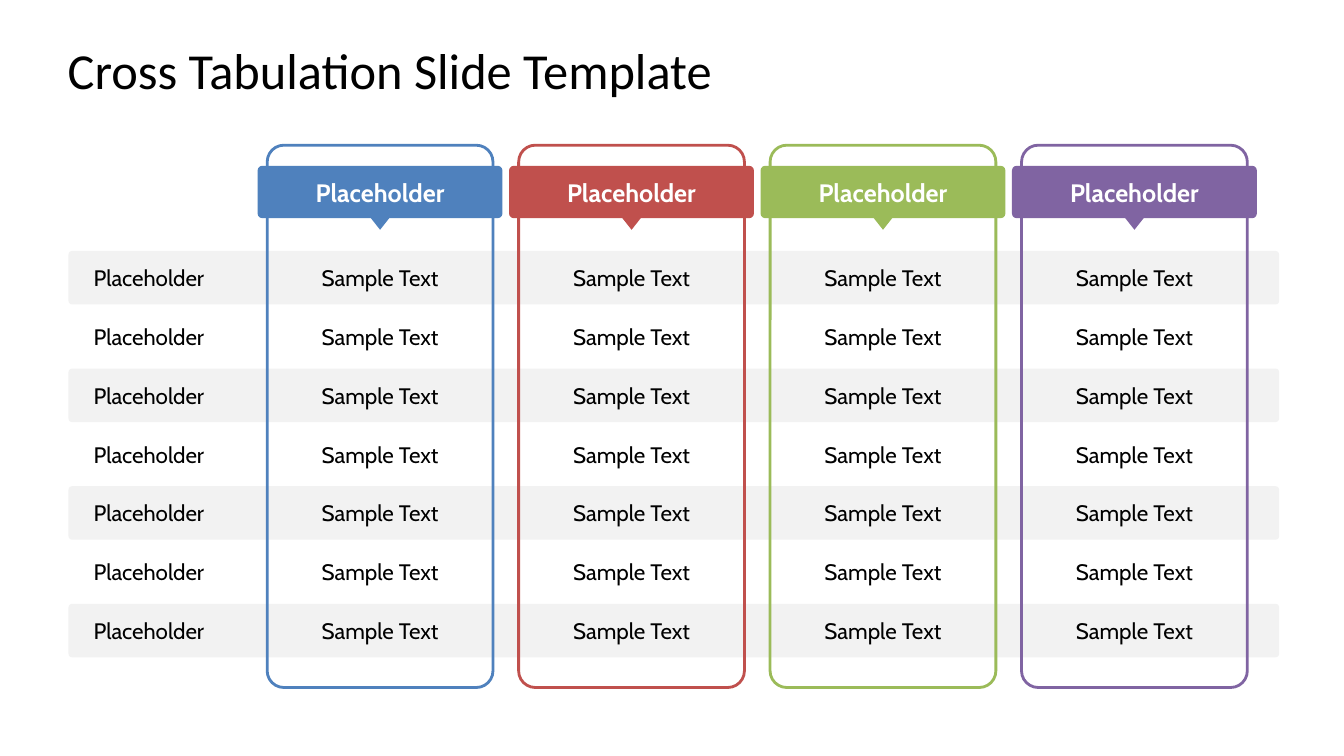
"""Build a cross tabulation slide with four coloured columns and seven banded rows."""
from dataclasses import dataclass

import pptx
import pptx.dml.color
import pptx.enum.shapes
import pptx.enum.text
import pptx.util

Shape = pptx.enum.shapes.MSO_SHAPE
Align = pptx.enum.text.PP_ALIGN

COLOURS = {
    "black": "000000",
    "white": "FFFFFF",
    "band": "F2F2F2",
    "blue": "4F81BD",
    "red": "C0504D",
    "green": "9BBB59",
    "purple": "8064A2",
}
SLIDE_WIDTH = pptx.util.Inches(13.333)
SLIDE_HEIGHT = pptx.util.Inches(7.5)
FIRST_COLUMN, COLUMN_PITCH = 28.28, 18.71
FIRST_ROW, ROW_PITCH = 36.73, 7.78
LABEL_CENTRE, BAND_CENTRE = 11.96, 50.14


@dataclass(frozen=True)
class Box:
    """A centre and a size, in percent of the slide's width and height."""

    x: float
    y: float
    width: float
    height: float

    def place(self) -> tuple[int, int, int, int]:
        """Return left, top, width and height in EMU."""
        return (
            int(SLIDE_WIDTH * (self.x - self.width / 2) / 100),
            int(SLIDE_HEIGHT * (self.y - self.height / 2) / 100),
            int(SLIDE_WIDTH * self.width / 100),
            int(SLIDE_HEIGHT * self.height / 100),
        )


@dataclass(frozen=True)
class TextStyle:
    """The look of one kind of text."""

    size: int
    colour: str = "black"
    font: str = "Cabin"
    bold: bool = False
    align: Align = Align.CENTER


@dataclass(frozen=True)
class Column:
    """A coloured column with its heading and cell text."""

    colour: str
    heading: str = "Placeholder"
    cell: str = "Sample Text"


TITLE = TextStyle(36, font="Calibri", align=Align.LEFT)
HEADING = TextStyle(18, colour="white", bold=True)
LABEL = TextStyle(16, align=Align.LEFT)
CELL = TextStyle(16)
COLUMNS = [Column(name) for name in ("blue", "red", "green", "purple")]
ROW_LABELS = ["Placeholder"] * 7


def rgb(name: str) -> pptx.dml.color.RGBColor:
    """Look up a colour by name."""
    return pptx.dml.color.RGBColor.from_string(COLOURS[name])


def write(shape, text: str, style: TextStyle) -> None:
    """Write one styled run, centred vertically, into a shape."""
    frame = shape.text_frame
    frame.word_wrap = True
    frame.vertical_anchor = pptx.enum.text.MSO_ANCHOR.MIDDLE
    frame.margin_left = frame.margin_right = frame.margin_top = frame.margin_bottom = 0
    paragraph = frame.paragraphs[0]
    paragraph.alignment = style.align
    run = paragraph.add_run()
    run.text = text
    run.font.name = style.font
    run.font.size = pptx.util.Pt(style.size)
    run.font.bold = style.bold
    run.font.color.rgb = rgb(style.colour)


def add_text(slide, box: Box, text: str, style: TextStyle) -> None:
    """Add a text box."""
    write(slide.shapes.add_textbox(*box.place()), text, style)


def add_filled(slide, kind: Shape, box: Box, colour: str):
    """Add a filled shape without a line."""
    shape = slide.shapes.add_shape(kind, *box.place())
    shape.shadow.inherit = False
    shape.fill.solid()
    shape.fill.fore_color.rgb = rgb(colour)
    shape.line.fill.background()
    return shape


def add_frame(slide, x: float, colour: str) -> None:
    """Add the rounded outline around a column."""
    box = Box(x, 55.07, 16.8, 71.73)
    shape = slide.shapes.add_shape(Shape.ROUNDED_RECTANGLE, *box.place())
    shape.shadow.inherit = False
    shape.adjustments[0] = 0.074
    shape.fill.background()
    shape.line.color.rgb = rgb(colour)
    shape.line.width = pptx.util.Pt(2)


def add_row(slide, index: int, label: str) -> None:
    """Add a row's label and cells, with a band behind every other row."""
    y = FIRST_ROW + index * ROW_PITCH
    if index % 2 == 0:
        band = add_filled(slide, Shape.ROUNDED_RECTANGLE, Box(BAND_CENTRE, y, 90.08, 7.07), "band")
        band.adjustments[0] = 0.067
    add_text(slide, Box(LABEL_CENTRE, y, 9.98, 3.47), label, LABEL)
    for position, column in enumerate(COLUMNS):
        x = FIRST_COLUMN + position * COLUMN_PITCH
        add_text(slide, Box(x, y, 11.85, 3.47), column.cell, CELL)


def add_column(slide, index: int, column: Column) -> None:
    """Add a column's frame, heading and pointer."""
    x = FIRST_COLUMN + index * COLUMN_PITCH
    add_frame(slide, x, column.colour)
    heading = add_filled(slide, Shape.ROUNDED_RECTANGLE, Box(x, 25.4, 18.22, 6.93), column.colour)
    heading.adjustments[0] = 0.088
    write(heading, column.heading, HEADING)
    pointer = add_filled(slide, Shape.ISOSCELES_TRIANGLE, Box(x, 29.13, 2.25, 2.53), column.colour)
    pointer.rotation = 180


def main() -> None:
    """Build and save the presentation."""
    presentation = pptx.Presentation()
    presentation.slide_width = SLIDE_WIDTH
    presentation.slide_height = SLIDE_HEIGHT
    slide = presentation.slides.add_slide(presentation.slide_layouts[6])
    add_text(slide, Box(50, 9.2, 89.92, 10.4), "Cross Tabulation Slide Template", TITLE)
    for index, label in enumerate(ROW_LABELS):
        add_row(slide, index, label)
    for index, column in enumerate(COLUMNS):
        add_column(slide, index, column)
    presentation.save("out.pptx")


if __name__ == "__main__":
    main()
